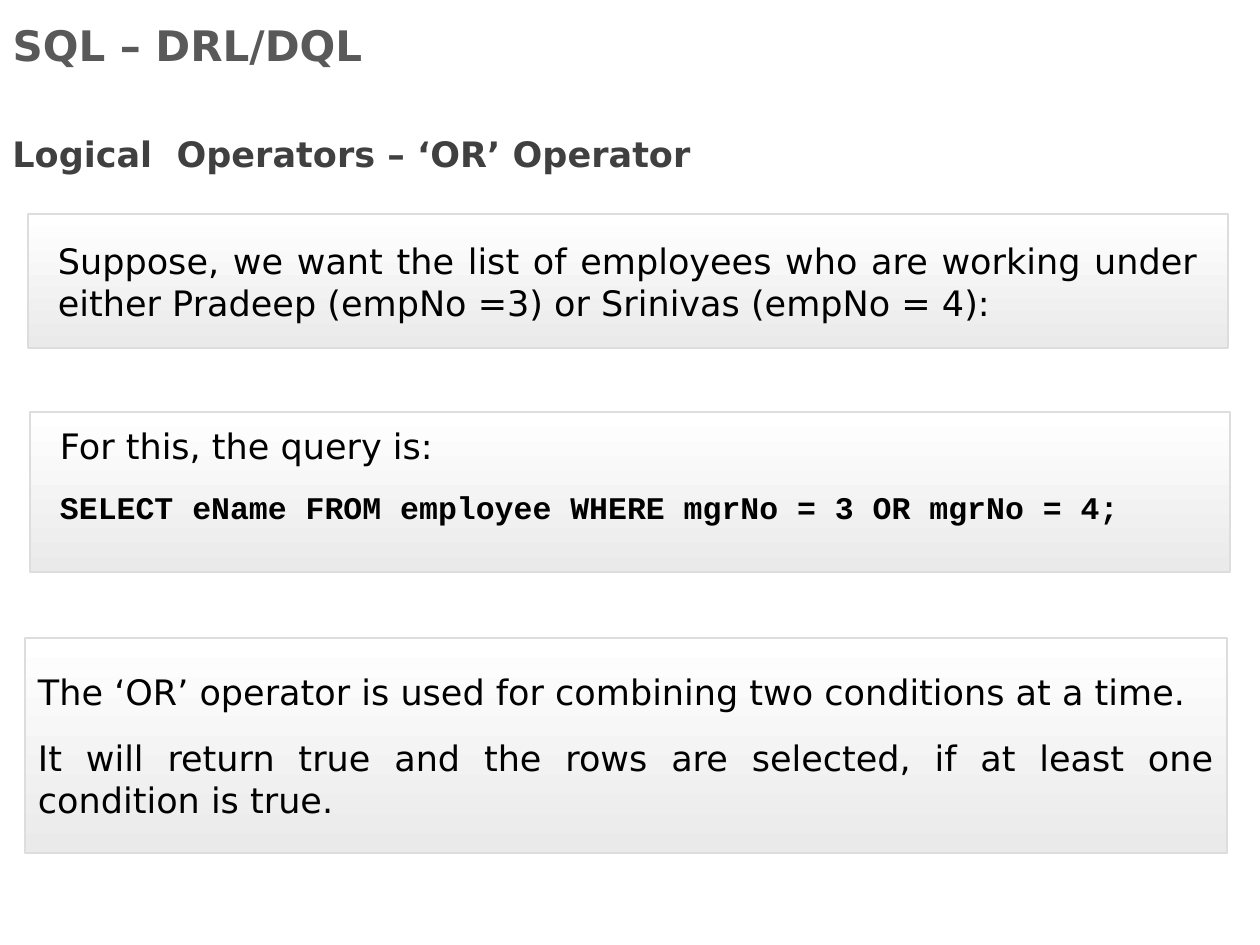
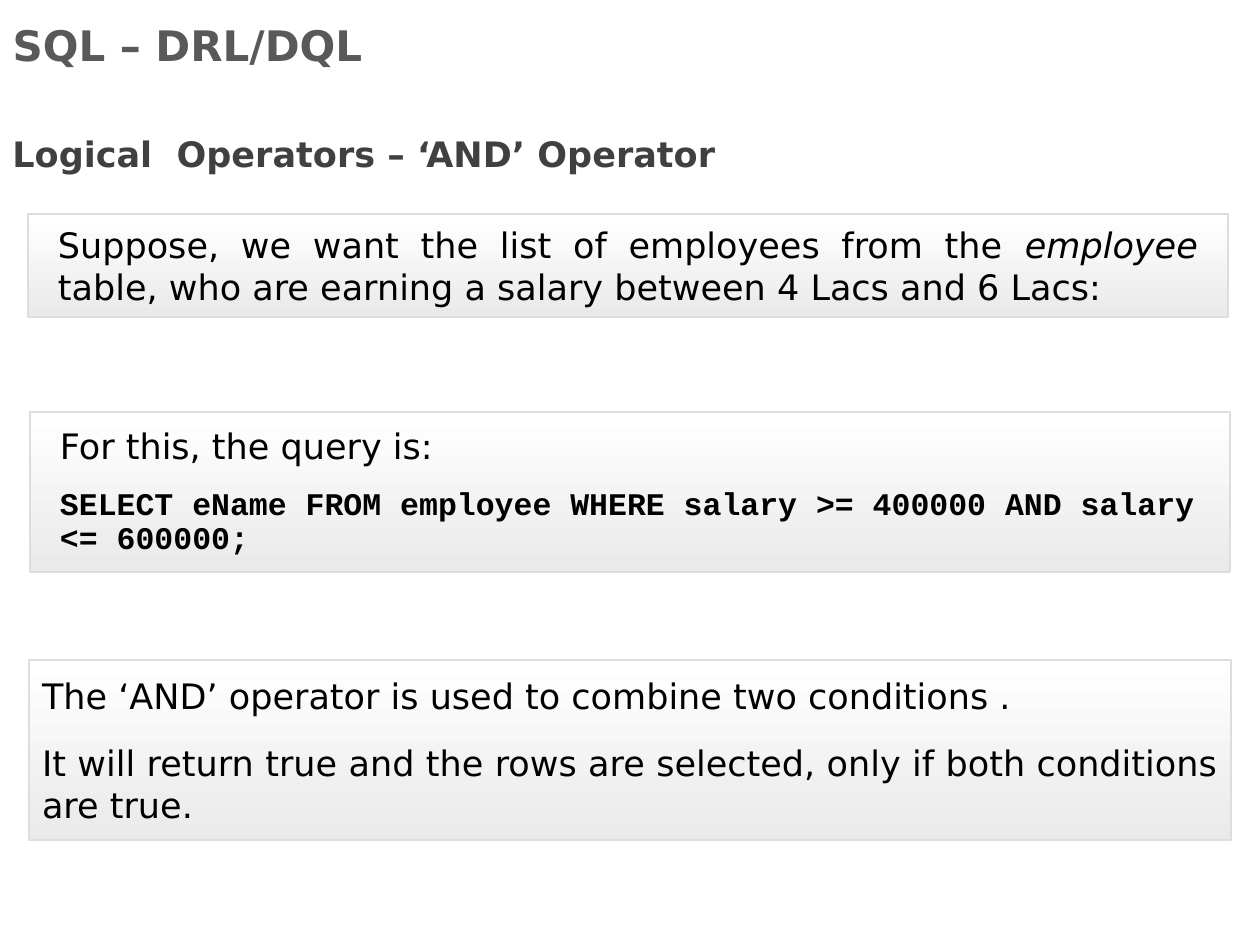
from pptx import Presentation
from pptx.dml.color import RGBColor
from pptx.enum.shapes import MSO_SHAPE
from pptx.enum.text import MSO_ANCHOR, MSO_AUTO_SIZE, PP_ALIGN
from pptx.util import Emu, Pt

COLORS = {"title": "595959", "subtitle": "404040", "body": "000000",
          "panel_top": "FFFFFF", "panel_bottom": "EAEAEA", "border": "DDDDDD"}
BODY_FONT, CODE_FONT = "DejaVu Sans", "Courier New"
LEFT, JUSTIFY = PP_ALIGN.LEFT, PP_ALIGN.JUSTIFY


def px(count):
    """Convert px, 126 to the inch, into EMU."""
    return Emu(round(count * 914400 / 126))


def add_run(paragraph, text, color, size=20, name=BODY_FONT, bold=False, italic=False):
    run = paragraph.add_run()
    run.text = text
    font = run.font
    font.name, font.size, font.bold, font.italic = name, Pt(size), bold, italic
    font.color.rgb = RGBColor.from_string(COLORS[color])


lessons = [
    {
        "operator": "OR",
        "task": [("Suppose, we want the list of employees who are working under "
                  "either Pradeep (empNo =3) or Srinivas (empNo = 4):", False)],
        "task_height": 134,
        "query": "SELECT eName FROM employee WHERE mgrNo = 3 OR mgrNo = 4;",
        "query_spacing": 1.0,
        "purpose": "The ‘OR’ operator is used for combining two conditions at a time.",
        "result": "It will return true and the rows are selected, "
                  "if at least one condition is true.",
        "summary_box": (25, 638, 1202, 215),
    },
    {
        "operator": "AND",
        "task": [("Suppose, we want the list of employees from the ", False),
                 ("employee ", True),
                 ("table, who are earning a salary between 4 Lacs and 6 Lacs:", False)],
        "task_height": 103,
        "query": "SELECT eName FROM employee WHERE salary >= 400000 "
                 "AND salary <= 600000;",
        "query_spacing": 0.9,
        "purpose": "The ‘AND’ operator is used to combine two conditions .",
        "result": "It will return true and the rows are selected, "
                  "only if both conditions are true.",
        "summary_box": (29, 660, 1202, 180),
    },
]

prs = Presentation()
prs.slide_width, prs.slide_height = px(1260), px(945)

for lesson in lessons:
    slide = prs.slides.add_slide(prs.slide_layouts[5])

    title = slide.shapes.title
    title.left, title.top, title.width, title.height = px(0), px(18), px(1134), px(54)
    title.text_frame.vertical_anchor = MSO_ANCHOR.MIDDLE
    title.text_frame.auto_size = MSO_AUTO_SIZE.NONE
    heading = title.text_frame.paragraphs[0]
    heading.alignment = LEFT
    add_run(heading, "SQL – DRL/DQL", "title", size=24, bold=True)

    subtitle = slide.shapes.add_textbox(px(0), px(105), px(893), px(76)).text_frame
    subtitle.word_wrap = True
    subtitle.auto_size = MSO_AUTO_SIZE.SHAPE_TO_FIT_TEXT
    topic = subtitle.paragraphs[0]
    topic.line_spacing = 1.5
    add_run(topic, f"Logical  Operators – ‘{lesson['operator']}’ Operator",
            "subtitle", bold=True)

    # Box, side inset, top inset, anchor, space before and after
    panel_styles = [
        ((28, 214, 1200, lesson["task_height"]), 30, 0, MSO_ANCHOR.MIDDLE, 6, 6),
        ((30, 412, 1200, 160), 30, 13, MSO_ANCHOR.TOP, 6, 6),
        (lesson["summary_box"], 13, 0, MSO_ANCHOR.MIDDLE, 0, 14.1),
    ]
    panel_texts = []
    for box, side, top, anchor, before, after in panel_styles:
        panel = slide.shapes.add_shape(MSO_SHAPE.RECTANGLE, *map(px, box))
        panel.shadow.inherit = False
        panel.fill.gradient()
        panel.fill.gradient_angle = 270
        for stop, shade in zip(panel.fill.gradient_stops, ("panel_top", "panel_bottom")):
            stop.color.rgb = RGBColor.from_string(COLORS[shade])
        stops = panel.fill.gradient_stops
        stops[0].position, stops[1].position = 0, 1
        panel.line.color.rgb = RGBColor.from_string(COLORS["border"])
        panel.line.width = Pt(1)

        frame = panel.text_frame
        frame.word_wrap = True
        frame.vertical_anchor = anchor
        frame.margin_left = frame.margin_right = px(side)
        frame.margin_top, frame.margin_bottom = px(top), 0
        first = frame.paragraphs[0]
        first.space_after = Pt(after)
        panel_texts.append(first)
        if panel_styles[0][0] != box:
            second = frame.add_paragraph()
            second.space_before, second.space_after = Pt(before), Pt(after)
            panel_texts.append(second)

    task, intro, query, purpose, result = panel_texts
    task.alignment = intro.alignment = result.alignment = JUSTIFY
    query.alignment = purpose.alignment = LEFT
    query.line_spacing = lesson["query_spacing"]

    for text, italic in lesson["task"]:
        add_run(task, text, "body", italic=italic)
    add_run(intro, "For this, the query is:", "body")
    add_run(query, lesson["query"], "body", size=18, name=CODE_FONT, bold=True)
    add_run(purpose, lesson["purpose"], "body")
    add_run(result, lesson["result"], "body")

prs.save("out.pptx")
